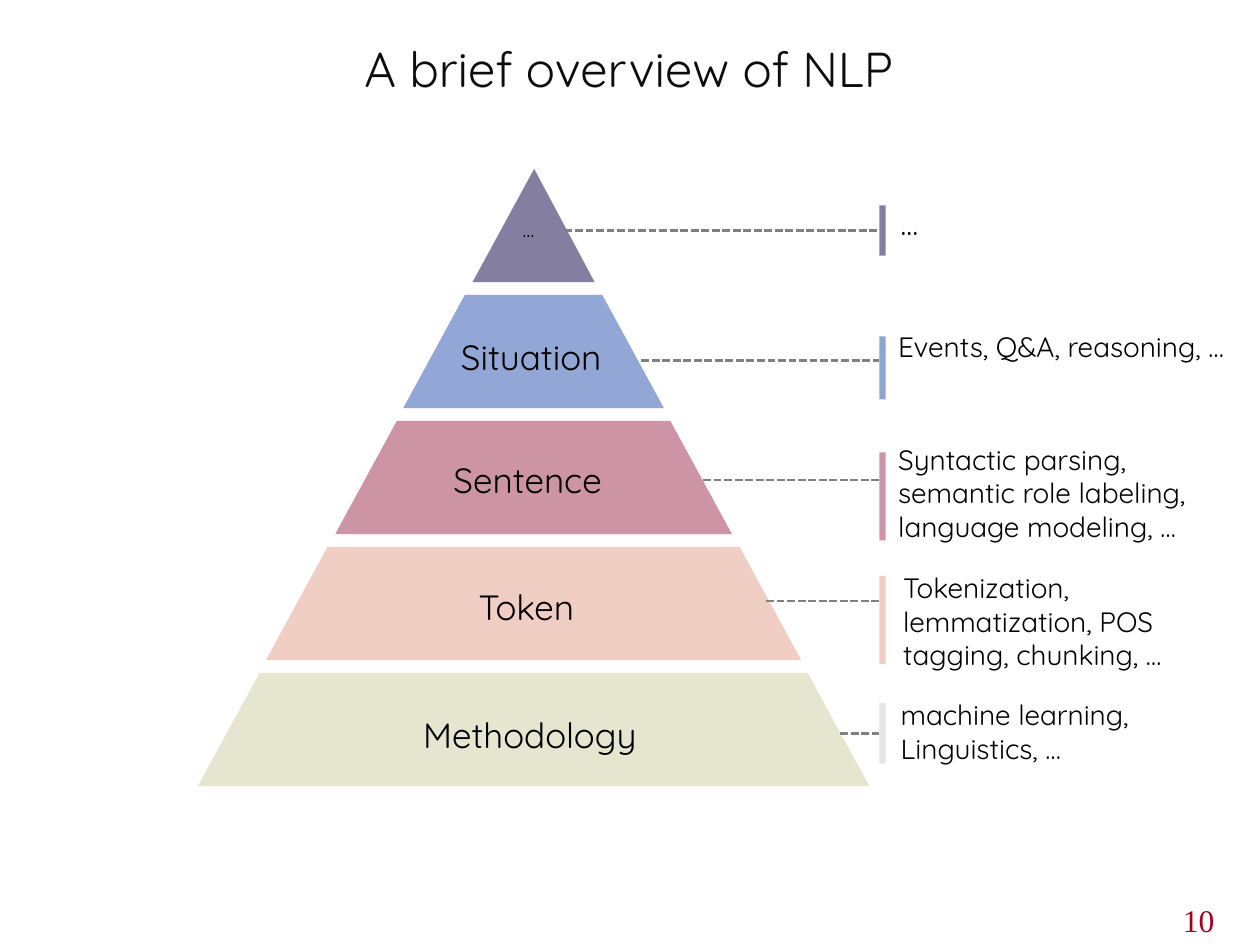
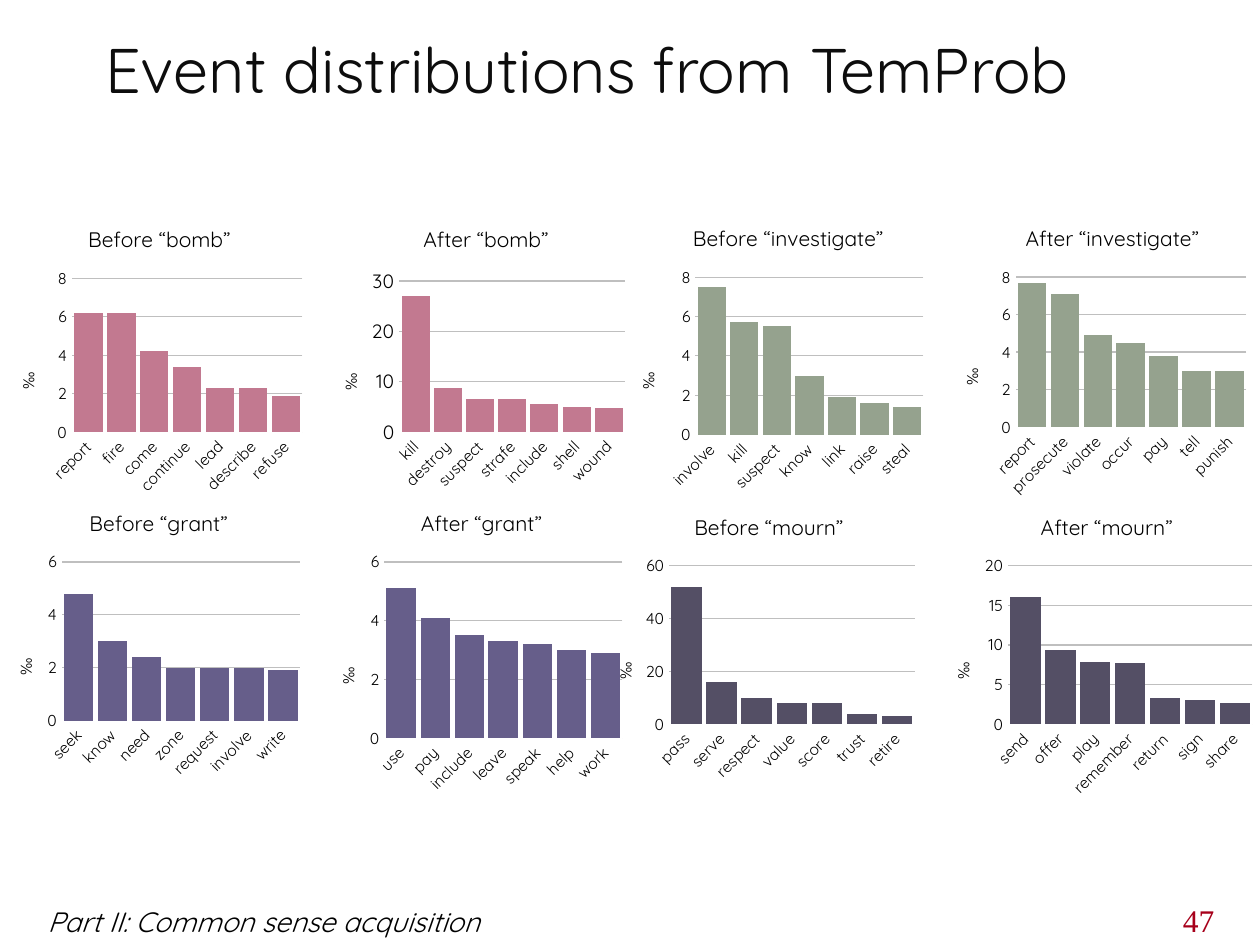
from collections import namedtuple

from lxml.etree import SubElement
from pptx import Presentation
from pptx.chart.data import CategoryChartData
from pptx.dml.color import RGBColor
from pptx.enum.chart import XL_CHART_TYPE, XL_TICK_MARK
from pptx.enum.dml import MSO_LINE
from pptx.enum.shapes import MSO_CONNECTOR, MSO_SHAPE
from pptx.enum.text import MSO_ANCHOR, MSO_AUTO_SIZE, PP_ALIGN
from pptx.oxml import parse_xml
from pptx.oxml.ns import nsdecls, qn
from pptx.util import Pt

PX = 9144  # EMU in one px, 100 px to the inch
rgb = RGBColor.from_string


class Theme:
    font, number_font = "Quicksand", "Times New Roman"
    ink, title, number = rgb("000000"), rgb("0D0D0D"), rgb("A7001B")
    leader, grid, baseline = rgb("808080"), rgb("BFBFBF"), rgb("FFFFFF")
    purple, blue, rose = rgb("666089"), rgb("7792CB"), rgb("C17A90")
    peach, sand = rgb("F1CEC3"), rgb("E6E5CF")
    bar_blue, bar_rose, bar_grey = rgb("8FA4D0"), rgb("CD95A6"), rgb("DDDFE0")
    bomb, investigate = rgb("C27990"), rgb("95A28E")
    grant, mourn = rgb("665E8A"), rgb("544F65")
    overview_title_size, chart_slide_title_size = 28, 36
    tier_size, task_size, number_size = 20, 16, 18
    small_dots_size, large_dots_size = 12, 18
    chart_size, chart_title_size, tick_size, large_tick_size = 14, 12, 9, 11
    leader_width, axis_width = 1.5, 0.75


def style(font, size, color=Theme.ink, name=Theme.font):
    font.size, font.name = Pt(size), name
    font.color.rgb = color


def add_text(s, box, text, size, color=Theme.ink, name=Theme.font, wrap=True):
    """Add a one-paragraph text box and return its paragraph."""
    tf = s.shapes.add_textbox(*(v * PX for v in box)).text_frame
    tf.word_wrap = wrap
    p = tf.paragraphs[0]
    p.text = text
    style(p.font, size, color, name)
    return p


prs = Presentation()
prs.slide_width, prs.slide_height = 1000 * PX, 750 * PX

# Title and slide number, shared by both slides
slides = []
for title, size, align, number in [
    ("A brief overview of NLP", Theme.overview_title_size, PP_ALIGN.CENTER, "10"),
    ("Event distributions from TemProb", Theme.chart_slide_title_size, PP_ALIGN.LEFT, "47"),
]:
    s = prs.slides.add_slide(prs.slide_layouts[5])
    sp = s.shapes.title
    sp.left, sp.top, sp.width, sp.height = 74 * PX, 25 * PX, 850 * PX, 58 * PX
    tf = sp.text_frame
    tf.text = title
    tf.auto_size, tf.vertical_anchor = MSO_AUTO_SIZE.NONE, MSO_ANCHOR.MIDDLE
    p = tf.paragraphs[0]
    p.alignment = align
    style(p.font, size, Theme.title)
    add_text(s, (929, 710, 49, 40), number, Theme.number_size, Theme.number,
             Theme.number_font, wrap=False)
    slides.append(s)
overview, distributions = slides

# Pyramid: one triangle cut into five tiers of equal height
PYRAMID_LEFT, PYRAMID_TOP, PYRAMID_W, PYRAMID_H = 157, 134, 533, 490
TIER_PITCH, TIER_H = 100, 90
APEX_X = PYRAMID_LEFT + PYRAMID_W / 2
HALF_WIDTH_PER_PX = PYRAMID_W / 2 / PYRAMID_H

Tier = namedtuple("Tier", "name box size color opacity")
tiers = [
    Tier("…", (405, 167, 48, 30), Theme.small_dots_size, Theme.purple, 80),
    Tier("Situation", (356, 261, 136, 44), Theme.tier_size, Theme.blue, 80),
    Tier("Sentence", (350, 359, 151, 44), Theme.tier_size, Theme.rose, 80),
    Tier("Token", (370, 460, 100, 44), Theme.tier_size, Theme.peach, 100),
    Tier("Methodology", (326, 561, 205, 44), Theme.tier_size, Theme.sand, 100),
]
solids = []  # (shape, colour, opacity in percent)
for i, tier in enumerate(tiers):
    top = i * TIER_PITCH
    bottom = top + TIER_H
    corners = [(round(APEX_X + side * depth * HALF_WIDTH_PER_PX), PYRAMID_TOP + depth)
               for side, depth in [(-1, top), (1, top), (1, bottom), (-1, bottom)]]
    corners = list(dict.fromkeys(corners))  # the top tier comes to a point
    outline = overview.shapes.build_freeform(*corners[0], scale=PX)
    outline.add_line_segments(corners[1:], close=True)
    solids.append((outline.convert_to_shape(), tier.color, tier.opacity))
    add_text(overview, tier.box, tier.name, tier.size, wrap=False)

# Tasks: a text behind a coloured bar, led to by a dashed line from its tier
BAR_X, BAR_W = 698, 5
Task = namedtuple("Task", "text box size bar_top bar_h color opacity line_x line_y")
tasks = [
    Task("…", (705, 157, 45, 40), Theme.large_dots_size,
         163, 40, Theme.purple, 80, 448, 183),
    Task("Events, Q&A, reasoning, …", (703, 257, 290, 64), Theme.task_size,
         267, 50, Theme.bar_blue, 100, 509, 286),
    Task("Syntactic parsing, semantic role labeling, language modeling, …",
         (703, 346, 297, 91), Theme.task_size,
         359, 70, Theme.bar_rose, 100, 558, 381),
    Task("Tokenization, lemmatization, POS tagging, chunking, …",
         (707, 448, 293, 91), Theme.task_size,
         457, 70, Theme.peach, 100, 608, 477),
    Task("machine learning, Linguistics, …", (705, 549, 223, 64), Theme.task_size,
         558, 48, Theme.bar_grey, 80, 667, 582),
]
for task in tasks:
    add_text(overview, task.box, task.text, task.size)
    bar = overview.shapes.add_shape(MSO_SHAPE.RECTANGLE, BAR_X * PX, task.bar_top * PX,
                                    BAR_W * PX, task.bar_h * PX)
    solids.append((bar, task.color, task.opacity))
    leader = overview.shapes.add_connector(MSO_CONNECTOR.STRAIGHT, task.line_x * PX,
                                           task.line_y * PX, BAR_X * PX, task.line_y * PX)
    if task.line_y == task.bar_top + task.bar_h // 2:
        leader.end_connect(bar, 1)
    leader.line.color.rgb = Theme.leader
    leader.line.width = Pt(Theme.leader_width)
    leader.line.dash_style = MSO_LINE.SQUARE_DOT
    SubElement(leader._element.spPr, qn("a:effectLst"))

for sp, color, opacity in solids:
    sp.shadow.inherit = False
    sp.line.fill.background()
    sp.fill.solid()
    sp.fill.fore_color.rgb = color
    if opacity < 100:
        srgb = sp._element.spPr.find(".//" + qn("a:srgbClr"))
        SubElement(srgb, qn("a:alpha")).set("val", str(opacity * 1000))

# Charts: frame and plot are left, top, width, height on the slide
TITLE_DROP, UNIT_INDENT, UNIT_DROP = 7, 18, 11
Histogram = namedtuple("Histogram", "title color frame title_x plot top step tick_size values")
histograms = [
    Histogram("Before “bomb”", Theme.bomb, (-7, 168, 252, 229), 67, (57, 221, 183, 122),
              8, 2, Theme.tick_size,
              {"report": 6.2, "fire": 6.2, "come": 4.2, "continue": 3.4,
               "lead": 2.3, "describe": 2.3, "refuse": 1.9}),
    Histogram("After “bomb”", Theme.bomb, (249, 168, 252, 225), 333, (317, 223, 179, 120),
              30, 10, Theme.large_tick_size,
              {"kill": 27.1, "destroy": 8.8, "suspect": 6.5, "strafe": 6.5,
               "include": 5.6, "shell": 5, "wound": 4.7}),
    Histogram("Before “investigate”", Theme.investigate, (485, 167, 252, 229), 547,
              (552, 220, 181, 125), 8, 2, Theme.tick_size,
              {"involve": 7.5, "kill": 5.7, "suspect": 5.5, "know": 3,
               "link": 1.9, "raise": 1.6, "steal": 1.4}),
    Histogram("After “investigate”", Theme.investigate, (742, 167, 252, 232), 811,
              (806, 220, 183, 119), 8, 2, Theme.tick_size,
              {"report": 7.7, "prosecute": 7.1, "violate": 4.9, "occur": 4.5,
               "pay": 3.8, "tell": 3, "punish": 3}),
    Histogram("Before “grant”", Theme.grant, (-9, 393, 252, 229), 68, (49, 446, 189, 126),
              6, 2, Theme.tick_size,
              {"seek": 4.8, "know": 3, "need": 2.4, "zone": 2,
               "request": 2, "involve": 2, "write": 1.9}),
    Histogram("After “grant”", Theme.grant, (247, 393, 252, 242), 331, (305, 446, 189, 140),
              6, 2, Theme.tick_size,
              {"use": 5.1, "pay": 4.1, "include": 3.5, "leave": 3.3,
               "speak": 3.2, "help": 3, "work": 2.9}),
    Histogram("Before “mourn”", Theme.mourn, (467, 396, 265, 229), 548, (531, 449, 195, 126),
              60, 20, Theme.tick_size,
              {"pass": 52, "serve": 16, "respect": 10, "value": 8,
               "score": 8, "trust": 4, "retire": 3}),
    Histogram("After “mourn”", Theme.mourn, (735, 396, 265, 242), 823, (800, 449, 194, 126),
              20, 5, Theme.tick_size,
              {"send": 16.1, "offer": 9.4, "play": 7.9, "remember": 7.7,
               "return": 3.3, "sign": 3.1, "share": 2.7}),
]
for hist in histograms:
    data = CategoryChartData()
    data.categories = list(hist.values)
    data.add_series("Series 1", list(hist.values.values()))
    chart = distributions.shapes.add_chart(
        XL_CHART_TYPE.COLUMN_CLUSTERED, *(v * PX for v in hist.frame), data).chart
    style(chart.font, Theme.chart_size)
    chart.has_legend = False
    columns = chart.plots[0]
    columns.gap_width, columns.overlap, columns.vary_by_categories = 15, -19, False
    fill = columns.series[0].format.fill
    fill.solid()
    fill.fore_color.rgb = hist.color

    words, units = chart.category_axis, chart.value_axis
    for axis, size in [(words, Theme.tick_size), (units, hist.tick_size)]:
        axis.major_tick_mark = axis.minor_tick_mark = XL_TICK_MARK.NONE
        style(axis.tick_labels.font, size)
    words._element.txPr.bodyPr.set("rot", "-2700000")
    units.minimum_scale, units.maximum_scale, units.major_unit = 0, hist.top, hist.step
    units.format.line.fill.background()
    units.has_major_gridlines = True
    for line, color in [(words.format.line, Theme.baseline),
                        (units.major_gridlines.format.line, Theme.grid)]:
        line.color.rgb = color
        line.width = Pt(Theme.axis_width)

    chart.has_title = units.has_title = True
    for heading, text, size in [(chart.chart_title, hist.title, Theme.chart_title_size),
                                (units.axis_title, "‰", Theme.tick_size)]:
        heading.text_frame.text = text
        p = heading.text_frame.paragraphs[0]
        style(p.font, size)
        p.font.bold = False
    units.axis_title.text_frame._txBody.bodyPr.set("rot", "-5400000")

    # Manual layouts are shares of the chart frame
    left, top, width, height = hist.frame
    plot_middle = hist.plot[1] + hist.plot[3] // 2
    for element, place in [
        (chart.chart_title._element, (hist.title_x, top + TITLE_DROP)),
        (units.axis_title._element, (left + UNIT_INDENT, plot_middle + UNIT_DROP)),
        (chart._chartSpace.chart.plotArea, hist.plot),
    ]:
        shares = [(place[0] - left) / width, (place[1] - top) / height]
        settings = '<c:xMode val="edge"/><c:yMode val="edge"/>'
        if place == hist.plot:
            shares += [place[2] / width, place[3] / height]
            settings = '<c:layoutTarget val="inner"/>' + settings
        settings += "".join(f'<c:{side} val="{share:.4f}"/>'
                            for side, share in zip("xywh", shares))
        for automatic in element.findall(qn("c:layout")):
            element.remove(automatic)
        layout = parse_xml(f'<c:layout {nsdecls("c")}><c:manualLayout>{settings}'
                           "</c:manualLayout></c:layout>")
        element.insert(0 if element.find(qn("c:tx")) is None else 1, layout)

p = add_text(distributions, (28, 713, 547, 37), "Part II: Common sense acquisition",
             Theme.task_size)
p.font.italic = True

prs.save("out.pptx")
